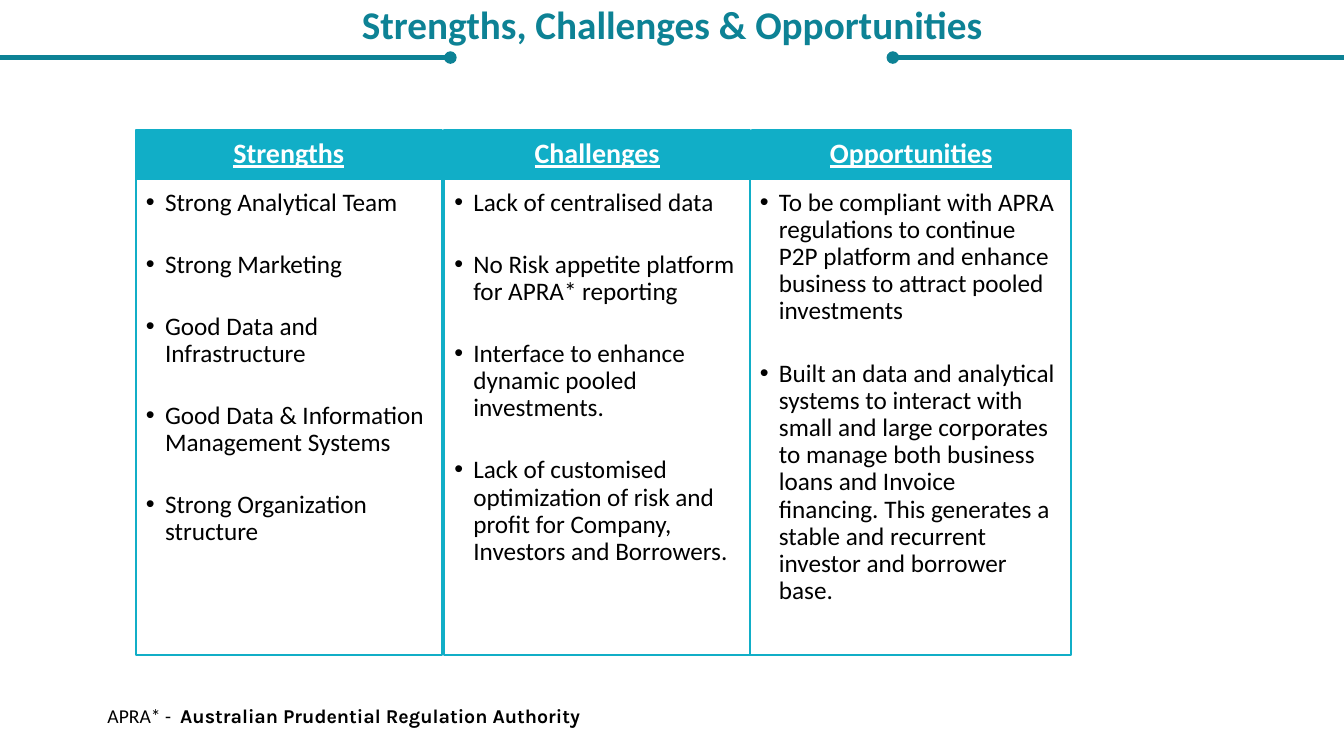
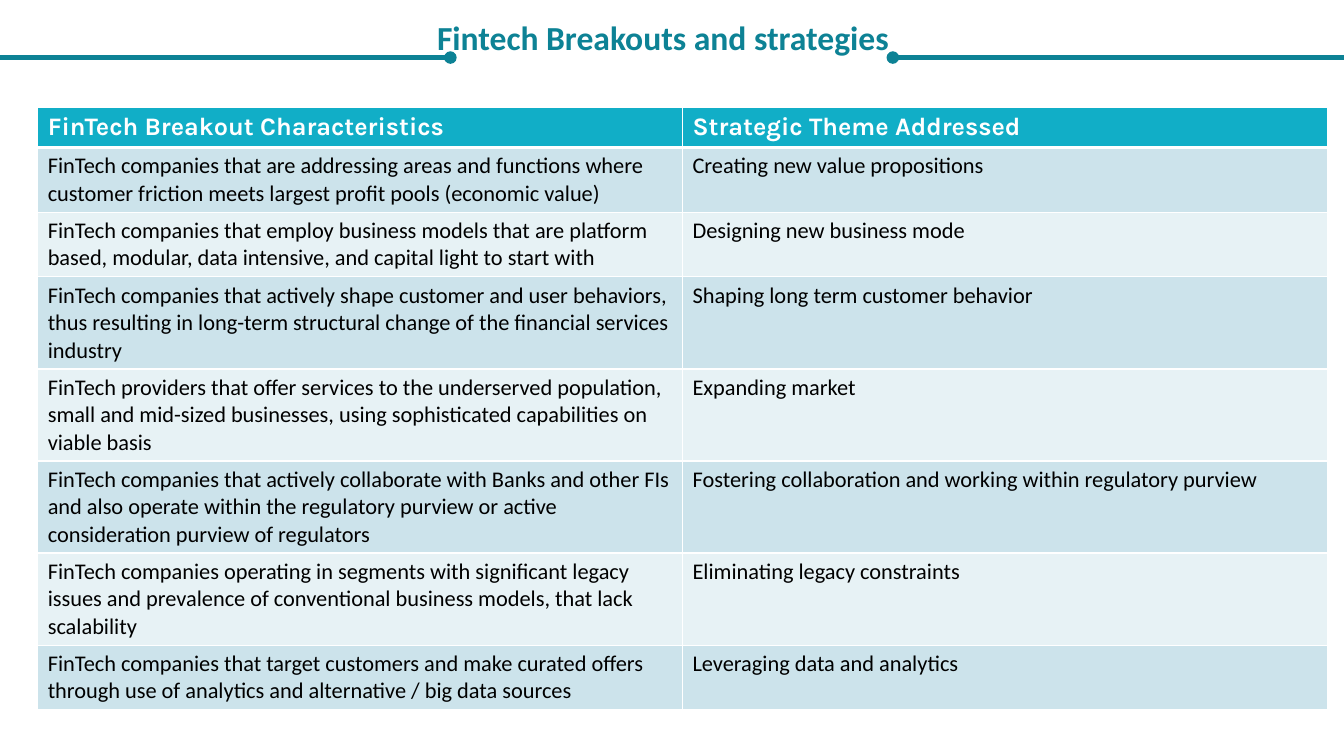
from dataclasses import dataclass

from lxml import etree
from pptx import Presentation
from pptx.dml.color import RGBColor
from pptx.enum import shapes, text
from pptx.oxml import ns
from pptx.util import Cm, Pt


@dataclass(frozen=True)
class Theme:
    """Colours, fonts and type sizes of the deck."""
    title: str = "0D8295"
    accent: str = "11AEC7"
    dark: str = "000000"
    light: str = "FFFFFF"
    bands: tuple = ("CCE3EB", "E7F2F5")
    body_font: str = "Calibri"
    accent_font: str = "Karla"
    heading_size: int = 20
    bullet_size: int = 18
    table_head_size: int = 18
    table_size: int = 16
    note_size: int = 14


def add_node(parent, tag, **attributes):
    """Append a drawing element to its parent."""
    return etree.SubElement(parent, ns.qn(tag), **attributes)


class Builder:
    """Holds the theme and the current page, and adds elements to it."""

    def __init__(self, theme):
        """Start an empty widescreen deck."""
        self.theme = theme
        self.deck = Presentation()
        self.deck.slide_width, self.deck.slide_height = Cm(33.87), Cm(19.05)
        self.page = None

    def new_page(self, title, size, box, **options):
        """Add a page with its title and the two title rules."""
        self.page = self.deck.slides.add_slide(self.deck.slide_layouts[6])
        self.rule(0, 11.35, 1.45)
        self.rule(33.87, 22.5, 1.45)
        frame = self.text_box(*box, **options)
        para = frame.paragraphs[0]
        para.alignment = text.PP_ALIGN.CENTER
        self.span(para, title, size, self.theme.title, bold=True)
        return para

    def rule(self, start, end, y):
        """Draw a horizontal line with a round tip at its end."""
        line = self.page.shapes.add_connector(
            shapes.MSO_CONNECTOR.STRAIGHT, Cm(start), Cm(y), Cm(end), Cm(y))
        line.line.color.rgb = RGBColor.from_string(self.theme.title)
        line.line.width = Pt(3)
        add_node(line.line._get_or_add_ln(), "a:tailEnd", type="oval")
        add_node(line._element.spPr, "a:effectLst")

    def set_insets(self, frame, insets):
        """Turn wrapping on and set left, top, right and bottom insets."""
        frame.word_wrap = True
        (frame.margin_left, frame.margin_top,
         frame.margin_right, frame.margin_bottom) = map(Cm, insets)

    def text_box(self, x, y, width, height, insets=(0.25, 0.13, 0.25, 0.13)):
        """Add a wrapping text box and return its text frame."""
        box = self.page.shapes.add_textbox(Cm(x), Cm(y), Cm(width), Cm(height))
        self.set_insets(box.text_frame, insets)
        return box.text_frame

    def panel(self, x, y, width, height, fill, insets):
        """Add an outlined rectangle and return its text frame."""
        box = self.page.shapes.add_shape(
            shapes.MSO_SHAPE.RECTANGLE, Cm(x), Cm(y), Cm(width), Cm(height))
        box.shadow.inherit = False
        box.fill.solid()
        box.fill.fore_color.rgb = RGBColor.from_string(fill)
        box.line.color.rgb = RGBColor.from_string(self.theme.accent)
        box.line.width = Pt(1.5)
        self.set_insets(box.text_frame, insets)
        return box.text_frame

    def span(self, para, words, size, color, font=None, bold=False, underline=False):
        """Add one run of text to a paragraph."""
        run = para.add_run()
        run.text = words
        run.font.name = font or self.theme.body_font
        run.font.size = Pt(size)
        run.font.color.rgb = RGBColor.from_string(color)
        run.font.bold = bold
        run.font.underline = underline

    def heading(self, words, x, y, width, height):
        """Add the filled heading of a column."""
        theme = self.theme
        frame = self.panel(x, y, width, height, theme.accent, (0.41, 0.23, 0.41, 0.23))
        frame.vertical_anchor = text.MSO_ANCHOR.MIDDLE
        para = frame.paragraphs[0]
        para.alignment = text.PP_ALIGN.CENTER
        para.line_spacing = 0.9
        self.span(para, words, theme.heading_size, theme.light, bold=True, underline=True)

    def bullets(self, items, x, y, width, height):
        """Add the bulleted body of a column."""
        theme = self.theme
        frame = self.panel(x, y, width, height, theme.light, (0.25, 0.25, 0.36, 0.41))
        frame.vertical_anchor = text.MSO_ANCHOR.TOP
        for index, item in enumerate(items):
            para = frame.add_paragraph() if index else frame.paragraphs[0]
            para.alignment = text.PP_ALIGN.LEFT
            para.line_spacing = 0.9
            para.space_after = Pt(24.9)
            props = para._p.get_or_add_pPr()
            props.set("marL", str(Cm(0.48)))
            props.set("indent", str(-Cm(0.48)))
            add_node(props, "a:buFont", typeface="Arial")
            add_node(props, "a:buChar", char="•")
            self.span(para, item, theme.bullet_size, theme.dark)

    def cell(self, cell, words, fill, bottom=1, **style):
        """Fill, border and label one table cell."""
        props = cell._tc.get_or_add_tcPr()
        for side in "LRTB":
            width = bottom if side == "B" else 1
            line = add_node(props, f"a:ln{side}", w=str(Pt(width)))
            add_node(add_node(line, "a:solidFill"), "a:srgbClr", val=self.theme.light)
        cell.fill.solid()
        cell.fill.fore_color.rgb = RGBColor.from_string(fill)
        self.span(cell.text_frame.paragraphs[0], words, **style)

    def table(self, header, rows, x, y, width):
        """Add a banded table; each row gives its line count, then its words."""
        theme = self.theme
        heights = [0.99] + [0.25 + 0.69 * lines for lines, *_ in rows]
        frame = self.page.shapes.add_table(
            len(heights), len(header), Cm(x), Cm(y), Cm(width), Cm(sum(heights)))
        table = frame.table
        table.first_row = table.horz_banding = False
        for row, height in zip(table.rows, heights):
            row.height = Cm(height)
        for col, words in enumerate(header):
            self.cell(table.cell(0, col), words, theme.accent, bottom=3,
                      size=theme.table_head_size, color=theme.light,
                      font=theme.accent_font, bold=True)
        for index, (_, *cells) in enumerate(rows):
            for col, words in enumerate(cells):
                self.cell(table.cell(index + 1, col), words, theme.bands[index % 2],
                          size=theme.table_size, color=theme.dark)


# Each column: heading, heading left and width, body left and width, items
COLUMNS = [
    ("Strengths", (3.43, 7.7), (3.43, 7.7), [
        "Strong Analytical Team",
        "Strong Marketing",
        "Good Data and Infrastructure",
        "Good Data & Information Management Systems",
        "Strong Organization structure"]),
    ("Challenges", (11.2, 7.7), (11.2, 7.7), [
        "Lack of centralised data",
        "No Risk appetite platform for APRA* reporting",
        "Interface to enhance dynamic pooled investments.",
        "Lack of customised optimization of risk and profit for Company, "
        "Investors and Borrowers."]),
    ("Opportunities", (18.95, 8.03), (18.9, 8.1), [
        "To be compliant with APRA regulations to continue P2P platform and "
        "enhance business to attract pooled investments",
        "Built an data and analytical systems to interact with small and large "
        "corporates to manage both business loans and Invoice financing. This "
        "generates a stable and recurrent investor and borrower base."]),
]

THEMES_ADDRESSED = [
    (2, "FinTech companies that are addressing areas and functions where customer "
        "friction meets largest profit pools (economic value)",
     "Creating new value propositions"),
    (2, "FinTech companies that employ business models that are platform based, "
        "modular, data intensive, and capital light to start with",
     "Designing new business mode"),
    (3, "FinTech companies that actively shape customer and user behaviors, thus "
        "resulting in long-term structural change of the financial services industry",
     "Shaping long term customer behavior"),
    (3, "FinTech providers that offer services to the underserved population, small "
        "and mid-sized businesses, using sophisticated capabilities on viable basis",
     "Expanding market"),
    (3, "FinTech companies that actively collaborate with Banks and other FIs and also "
        "operate within the regulatory purview or active consideration purview of "
        "regulators",
     "Fostering collaboration and working within regulatory purview"),
    (3, "FinTech companies operating in segments with significant legacy issues and "
        "prevalence of conventional business models, that lack scalability",
     "Eliminating legacy constraints"),
    (2, "FinTech companies that target customers and make curated offers through use "
        "of analytics and alternative / big data sources",
     "Leveraging data and analytics"),
]


def build_columns(builder):
    """Build the page with three columns and a footnote."""
    theme = builder.theme
    title = builder.new_page("Strengths, Challenges & Opportunities", 28,
                             (0.64, 0.15, 32.59, 1.07), insets=(0, 0, 0, 0))
    title.line_spacing = 0.9
    top, head_height, body_height = 3.28, 1.24, 11.99
    for name, (head_x, head_width), (body_x, body_width), items in COLUMNS:
        builder.heading(name, head_x, top, head_width, head_height)
        builder.bullets(items, body_x, top + head_height, body_width, body_height)
    note = builder.text_box(2.46, 17.6, 17.7, 0.86).paragraphs[0]
    builder.span(note, "APRA* - \u00a0", theme.note_size, theme.dark)
    builder.span(note, "Australian Prudential Regulation Authority",
                 theme.note_size, theme.dark, font=theme.accent_font, bold=True)


def build_strategies(builder):
    """Build the page with the strategy table."""
    builder.new_page("Fintech Breakouts and strategies", 24, (5.38, 0.3, 22.66, 1.27))
    builder.table(("FinTech Breakout Characteristics", "Strategic Theme Addressed"),
                  THEMES_ADDRESSED, 0.95, 2.7, 32.5)


def main():
    """Build both pages and save the deck."""
    builder = Builder(Theme())
    build_columns(builder)
    build_strategies(builder)
    builder.deck.save("out.pptx")


main()
